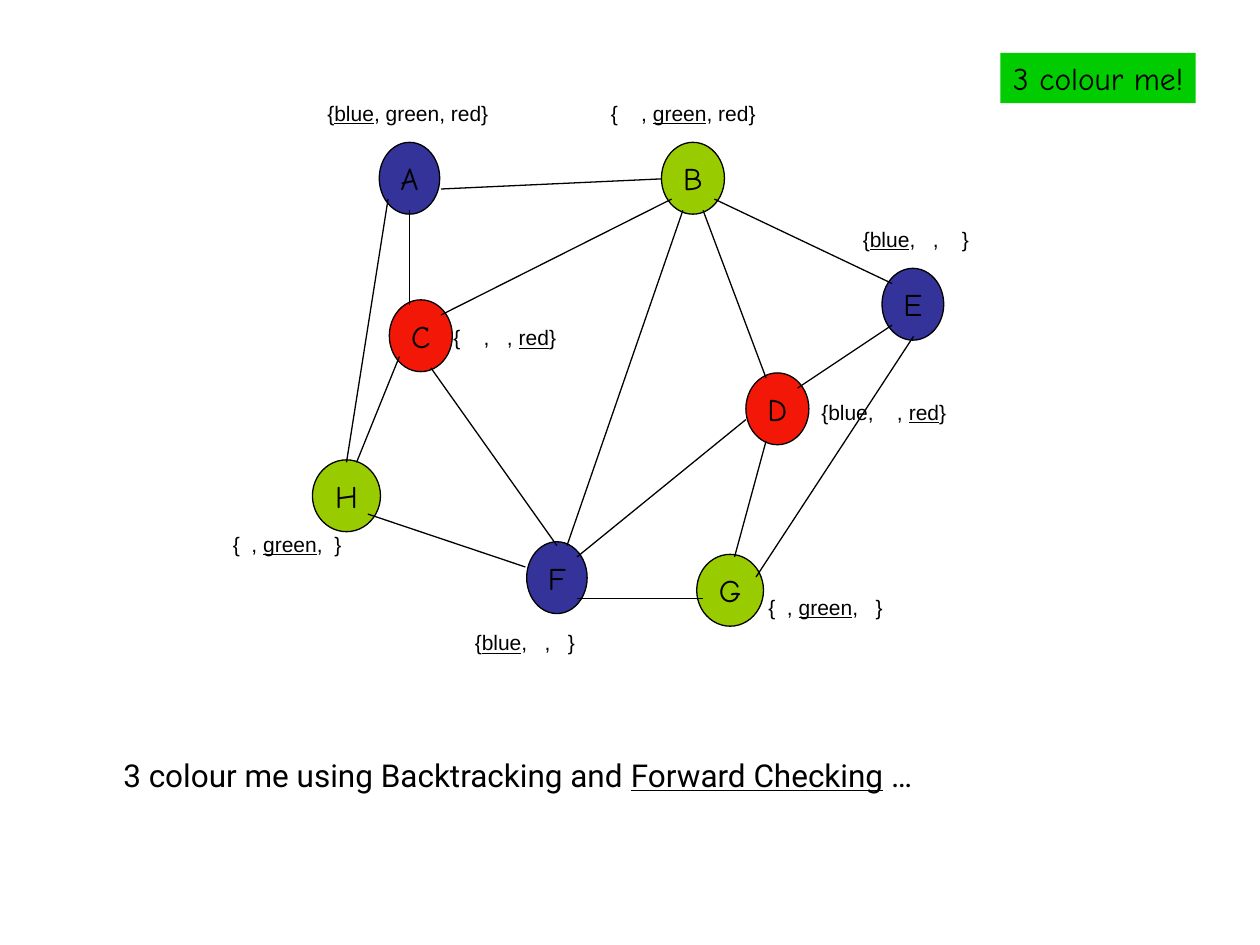
from lxml import etree
from pptx import Presentation
from pptx.dml.color import RGBColor
from pptx.enum.shapes import MSO_CONNECTOR, MSO_SHAPE
from pptx.enum.text import MSO_ANCHOR, PP_ALIGN
from pptx.oxml.ns import qn
from pptx.util import Inches, Pt

BLACK = RGBColor(0x00, 0x00, 0x00)
BLUE = RGBColor(0x33, 0x33, 0x99)
GREEN = RGBColor(0x99, 0xCC, 0x00)
RED = RGBColor(0xF2, 0x17, 0x06)
BADGE_GREEN = RGBColor(0x00, 0xCC, 0x00)

NODE_HEIGHT = 0.57
LABEL_SIZE = (1.5, 0.3)

# Name, colour, left, top, width; places are relative to the graph's box
NODES = [
    ("A", BLUE, 1.26, 0.38, 0.48),
    ("B", GREEN, 3.5, 0.38, 0.5),
    ("C", RED, 1.34, 1.63, 0.5),
    ("D", RED, 4.17, 2.21, 0.5),
    ("E", BLUE, 5.25, 1.38, 0.49),
    ("F", BLUE, 2.43, 3.55, 0.48),
    ("G", GREEN, 3.78, 3.65, 0.53),
    ("H", GREEN, 0.73, 2.9, 0.54),
]

# Start x, y and end x, y of each constraint
EDGES = [
    (1.5, 0.92, 1.5, 1.67),     # A-C
    (1.75, 0.75, 3.5, 0.67),    # A-B
    (1.33, 0.83, 1, 2.92),      # A-H
    (1.75, 1.75, 3.58, 0.83),   # C-B
    (1.42, 2.08, 1.08, 2.92),   # C-H
    (2.67, 3.58, 1.67, 2.17),   # F-C
    (2.83, 3.67, 4.17, 2.58),   # F-D
    (2.75, 3.58, 3.67, 0.92),   # F-B
    (2.83, 4, 3.83, 4),         # F-G
    (3.83, 0.92, 4.33, 2.25),   # B-D
    (3.92, 0.83, 5.33, 1.5),    # B-E
    (4.58, 2.33, 5.33, 1.83),   # D-E
    (4.33, 2.75, 4.08, 3.67),   # D-G
    (1.17, 3.33, 2.42, 3.75),   # H-F
    (5.5, 1.92, 4.25, 3.83),    # E-G
]

# Left, top and the text before, in and after the underlined choice
DOMAINS = [
    (0.75, 0, "{", "blue", ", green, red}"),
    (3, 0, "{    , ", "green", ", red}"),
    (1.75, 1.78, "{    ,   , ", "red", "}"),
    (4.67, 2.37, "{blue,    , ", "red", "}"),
    (5, 1, "{", "blue", ",   ,    }"),
    (1.92, 4.2, "{", "blue", ",   ,   }"),
    (4.25, 3.92, "{  , ", "green", ",   }"),
    (0, 3.42, "{  , ", "green", ",  }"),
]


def format_run(run, font_name, size):
    run.font.name = font_name
    run.font.size = Pt(size)
    run.font.color.rgb = BLACK


def add_shape(slide, kind, box, fill, text, align):
    """Add a filled shape holding one line of text."""
    shape = slide.shapes.add_shape(kind, *map(Inches, box))
    shape.shadow.inherit = False
    shape.fill.solid()
    shape.fill.fore_color.rgb = fill
    shape.line.fill.background()
    frame = shape.text_frame
    frame.word_wrap = False
    frame.vertical_anchor = MSO_ANCHOR.MIDDLE
    frame.text = text
    paragraph = frame.paragraphs[0]
    paragraph.alignment = align
    format_run(paragraph.runs[0], "Comic Neue", 18)
    return shape


def add_underlined_text(slide, box, parts, font_name, size, wrap):
    """Add a text box whose middle part is underlined."""
    frame = slide.shapes.add_textbox(*map(Inches, box)).text_frame
    frame.word_wrap = wrap
    paragraph = frame.paragraphs[0]
    for index, part in enumerate(parts):
        run = paragraph.add_run()
        run.text = part
        format_run(run, font_name, size)
        if index == 1:
            run.font.underline = True


def add_edge(slide, start, end):
    edge = slide.shapes.add_connector(
        MSO_CONNECTOR.STRAIGHT, *map(Inches, (*start, *end)))
    edge.line.color.rgb = BLACK
    edge.line.width = Pt(0.75)
    etree.SubElement(edge._element.spPr, qn("a:effectLst"))


def add_graph(slide, left, top):
    # Nodes
    for name, colour, x, y, width in NODES:
        box = (left + x, top + y, width, NODE_HEIGHT)
        node = add_shape(slide, MSO_SHAPE.OVAL, box, colour, name, PP_ALIGN.CENTER)
        node.line.color.rgb = BLACK
        node.line.width = Pt(0.75)
    # Constraints
    for x1, y1, x2, y2 in EDGES:
        add_edge(slide, (left + x1, top + y1), (left + x2, top + y2))
    # Remaining domains
    for x, y, *parts in DOMAINS:
        box = (left + x, top + y, *LABEL_SIZE)
        add_underlined_text(slide, box, parts, "Arial", 12, wrap=True)


def add_caption(slide, box):
    parts = ("3 colour me using Backtracking and ", "Forward Checking", " …")
    add_underlined_text(slide, box, parts, "Roboto", 18, wrap=False)


def add_badge(slide, box):
    add_shape(slide, MSO_SHAPE.RECTANGLE, box, BADGE_GREEN, "3 colour me!", PP_ALIGN.LEFT)


def main():
    presentation = Presentation()
    presentation.slide_width = Inches(10)
    presentation.slide_height = Inches(7.5)
    slide = presentation.slides.add_slide(presentation.slide_layouts[6])
    add_caption(slide, (0.88, 5.95, 6.85, 0.4))
    add_graph(slide, 1.75, 0.75)
    add_badge(slide, (7.94, 0.42, 1.55, 0.4))
    presentation.save("out.pptx")


if __name__ == "__main__":
    main()
